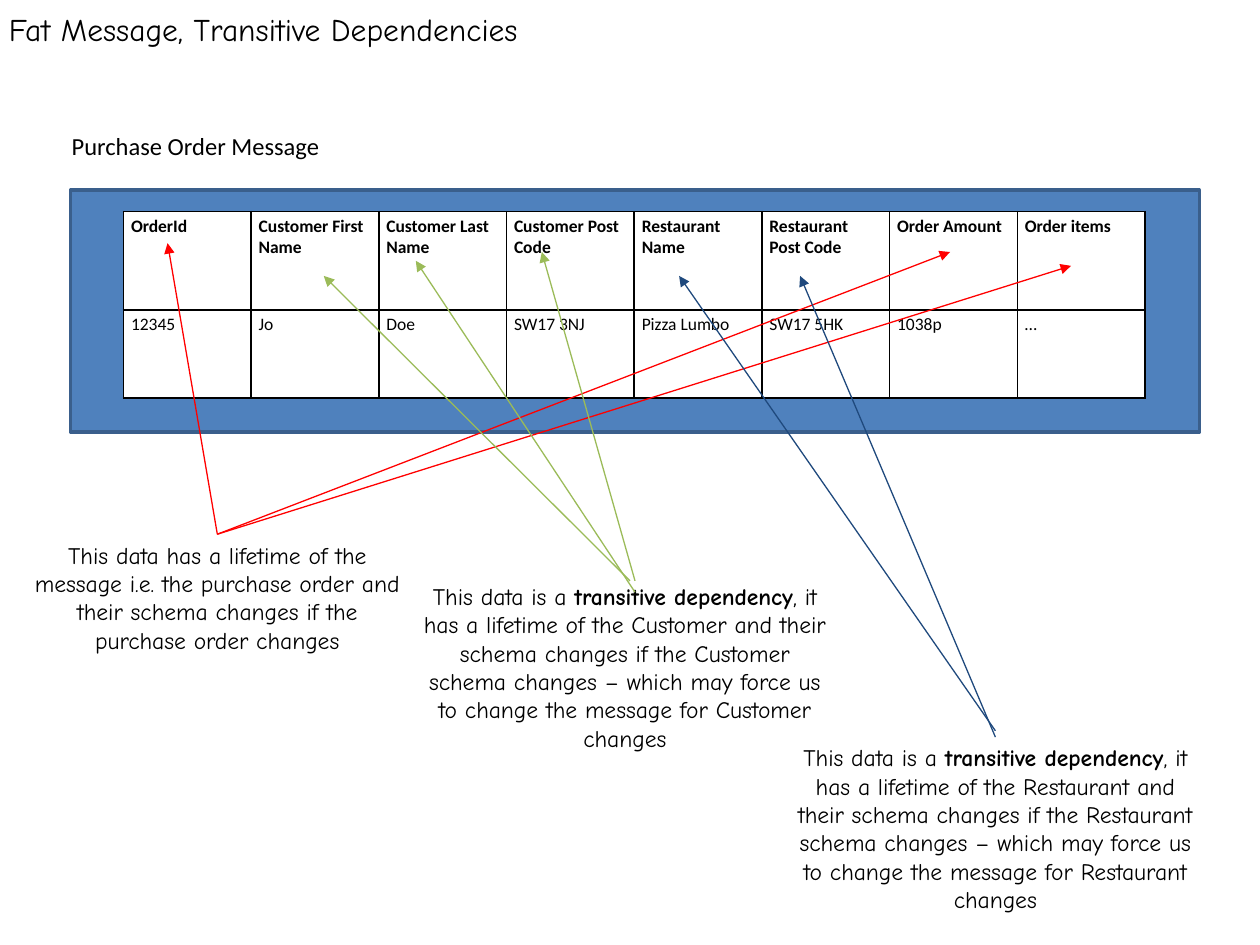
"""Build the slide about transitive dependencies in a fat message."""
from dataclasses import dataclass

from lxml import etree
from pptx import Presentation
from pptx import util as u
from pptx.dml.color import RGBColor
from pptx.enum import shapes, text
from pptx.oxml import ns


@dataclass(frozen=True)
class Theme:
    body: str = "Calibri"
    hand: str = "Comic Neue"
    black: str = "000000"
    white: str = "FFFFFF"
    panel: str = "4F81BD"
    panel_line: str = "3A5F8C"
    order: str = "FF0000"
    customer: str = "9BBB59"
    restaurant: str = "1F497D"
    title_size: float = 18
    label_size: float = 14
    note_size: float = 13.5
    cell_size: float = 10


T = Theme()

COLUMNS = [
    ("OrderId", "12345"),
    ("Customer First Name", "Jo"),
    ("Customer Last Name", "Doe"),
    ("Customer Post Code", "SW17 3NJ"),
    ("Restaurant Name", "Pizza Lumbo"),
    ("Restaurant Post Code", "SW17 5HK"),
    ("Order Amount", "1038p"),
    ("Order items", "…"),
]


def rgb(value):
    return RGBColor.from_string(value)


def box(left, top, width, height):
    return [u.Inches(v) for v in (left, top, width, height)]


def add_run(p, words, font, size, bold=False):
    r = p.add_run()
    r.text = words
    r.font.name, r.font.size, r.font.bold = font, u.Pt(size), bold
    r.font.color.rgb = rgb(T.black)


def set_title(slide, words):
    sp = slide.shapes.title
    sp.left, sp.top, sp.width, sp.height = box(0, 0.01, 10, 0.45)
    tf = sp.text_frame
    tf.margin_left = tf.margin_right = tf.margin_top = tf.margin_bottom = u.Inches(0.07)
    tf.vertical_anchor = text.MSO_ANCHOR.TOP
    tf.auto_size = text.MSO_AUTO_SIZE.SHAPE_TO_FIT_TEXT
    p = tf.paragraphs[0]
    p.alignment = text.PP_ALIGN.LEFT
    add_run(p, words, T.hand, T.title_size)


def add_panel(slide, *place):
    sp = slide.shapes.add_shape(shapes.MSO_SHAPE.RECTANGLE, *box(*place))
    sp.shadow.inherit = False
    sp.fill.solid()
    sp.fill.fore_color.rgb = rgb(T.panel)
    sp.line.color.rgb = rgb(T.panel_line)
    sp.line.width = u.Pt(2)


def add_text(slide, place, runs, font, size, align=text.PP_ALIGN.LEFT):
    """Add a wrapped text box; runs are (words, bold) pairs."""
    sp = slide.shapes.add_textbox(*box(*place))
    tf = sp.text_frame
    tf.word_wrap = True
    tf.auto_size = text.MSO_AUTO_SIZE.SHAPE_TO_FIT_TEXT
    p = tf.paragraphs[0]
    p.alignment = align
    for words, bold in runs:
        add_run(p, words, font, size, bold)
    return sp


def add_note(slide, place, runs):
    return add_text(slide, place, runs, T.hand, T.note_size, text.PP_ALIGN.CENTER)


def add_dependency_note(slide, place, owner):
    return add_note(slide, place, [
        ("This data is a ", False),
        ("transitive dependency", True),
        (f", it has a lifetime of the {owner} and their schema changes if the {owner} schema "
         f"changes – which may force us to change the message for {owner} changes", False),
    ])


def add_borders(cell):
    tc_pr = cell._tc.get_or_add_tcPr()
    for side in ("a:lnL", "a:lnR", "a:lnT", "a:lnB"):
        ln = etree.SubElement(tc_pr, ns.qn(side), w=str(u.Pt(1)))
        fill = etree.SubElement(ln, ns.qn("a:solidFill"))
        etree.SubElement(fill, ns.qn("a:srgbClr"), val=T.black)


def fill_cell(cell, words, bold):
    cell.margin_left = cell.margin_right = u.Inches(0.06)
    cell.margin_top = cell.margin_bottom = u.Inches(0.03)
    add_borders(cell)
    cell.fill.solid()
    cell.fill.fore_color.rgb = rgb(T.white)
    add_run(cell.text_frame.paragraphs[0], words, T.body, T.cell_size, bold)


def add_message_table(slide):
    frame = slide.shapes.add_table(2, len(COLUMNS), *box(0.98, 1.68, 8.11, 1.48))
    table = frame.table
    table.first_row = table.horz_banding = False
    for row, height in zip(table.rows, (0.78, 0.7)):
        row.height = u.Inches(height)
    for col, values in enumerate(COLUMNS):
        for row, words in enumerate(values):
            fill_cell(table.cell(row, col), words, bold=row == 0)


def add_arrow(slide, start, end, color, note=None):
    """Draw an arrow, joined to the top of the note if one is given."""
    points = [u.Inches(v) for v in (*start, *end)]
    s = slide.shapes.add_connector(shapes.MSO_CONNECTOR.STRAIGHT, *points)
    if note is not None:
        s.begin_connect(note, 0)
    s.line.color.rgb = rgb(color)
    s.line.width = u.Pt(0.75)
    etree.SubElement(s.line._get_or_add_ln(), ns.qn("a:tailEnd"), type="triangle")
    etree.SubElement(s._element.spPr, ns.qn("a:effectLst"))


def main():
    prs = Presentation()
    prs.slide_width, prs.slide_height = u.Inches(10), u.Inches(7.5)
    slide = prs.slides.add_slide(prs.slide_layouts[5])

    set_title(slide, "Fat Message, Transitive Dependencies")
    add_panel(slide, 0.56, 1.51, 8.96, 1.92)
    add_message_table(slide)
    add_text(slide, (0.47, 0.99, 2.25, 0.34), [("Purchase Order Message", False)],
             T.body, T.label_size)

    order = add_note(slide, (0.14, 4.24, 3.17, 1.01), [
        ("This data has a lifetime of the message i.e. the purchase order and their "
         "schema changes if the purchase order changes", False)])
    for end in ((1.33, 1.93), (7.54, 2), (8.5, 2.11)):
        add_arrow(slide, (1.72, 4.24), end, T.order, order)

    add_dependency_note(slide, (3.23, 4.57, 3.46, 1.47), "Customer")
    for start, end in (((5, 4.61), (2.57, 2.19)),
                       ((5.04, 4.7), (3.3, 2.07)),
                       ((5.04, 4.61), (4.3, 2))):
        add_arrow(slide, start, end, T.customer)

    restaurant = add_dependency_note(slide, (6.17, 5.85, 3.46, 1.47), "Restaurant")
    add_arrow(slide, (7.9, 5.8), (5.39, 2.19), T.restaurant)
    add_arrow(slide, (7.9, 5.85), (6.35, 2.19), T.restaurant, restaurant)

    prs.save("out.pptx")


if __name__ == "__main__":
    main()
